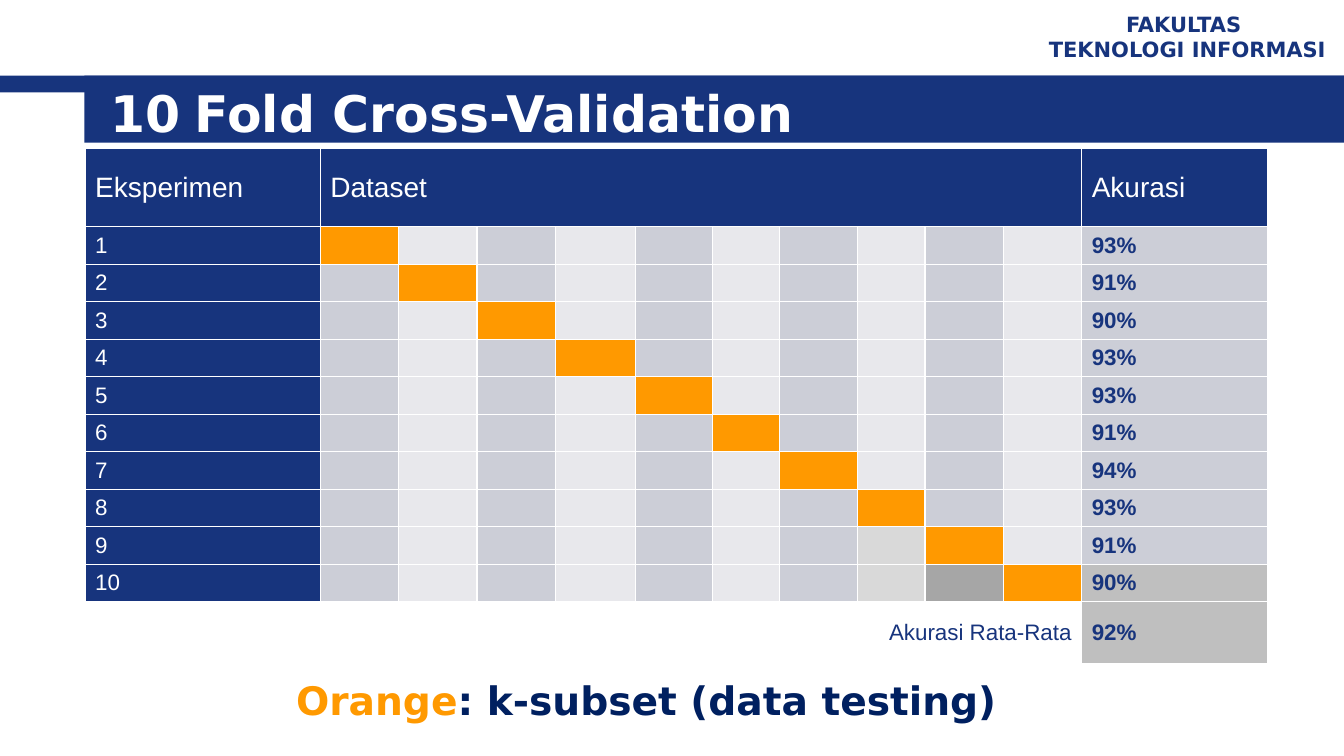
from dataclasses import dataclass

from lxml import etree
from pptx import Presentation
from pptx.dml.color import RGBColor
from pptx.enum import shapes, text
from pptx.oxml.ns import qn
from pptx.util import Pt


@dataclass(frozen=True)
class Theme:
    """Colours, fonts and type sizes of the slide."""
    navy: str = "17347D"
    ink: str = "002060"
    orange: str = "FF9900"
    white: str = "FFFFFF"
    band_dark: str = "CCCED7"
    band_light: str = "E8E8EC"
    grey_light: str = "D9D9D9"
    grey: str = "BFBFBF"
    grey_dark: str = "A6A6A6"
    display: str = "DejaVu Sans"
    body: str = "Arial"
    title_size: float = 36
    title_gap_size: float = 28.8
    caption_size: float = 28
    header_size: float = 20
    cell_size: float = 16
    faculty_size: float = 15


THEME = Theme()
COLUMNS = [168, 56, 56, 56, 57, 55, 48, 56, 48, 56, 56, 133]
ROWS = [56] + [26.8] * 10 + [44]
ACCURACIES = [93, 91, 90, 93, 93, 91, 94, 93, 91, 90]
MEAN_ACCURACY = 92
FOLDS = len(ACCURACIES)
GREY_CELLS = {(9, 8): THEME.grey_light, (10, 8): THEME.grey_light, (10, 9): THEME.grey_dark}


def style_font(font, size=None, colour=None, name=None, bold=None):
    """Apply the given font settings."""
    if size:
        font.size = Pt(size)
    if colour:
        font.color.rgb = RGBColor.from_string(colour)
    if name:
        font.name = name
    if bold is not None:
        font.bold = bold


def add_bar(page, left, top, width, height):
    """Draw a plain navy rectangle."""
    bar = page.shapes.add_shape(
        shapes.MSO_SHAPE.RECTANGLE, Pt(left), Pt(top), Pt(width), Pt(height))
    bar.shadow.inherit = False
    bar.fill.solid()
    bar.fill.fore_color.rgb = RGBColor.from_string(THEME.navy)
    bar.line.fill.background()


def add_text(page, frame, lines, size=None, colour=None,
             align=text.PP_ALIGN.LEFT, anchor=text.MSO_ANCHOR.MIDDLE):
    """Add bold display text, each line a list of (words, run font settings)."""
    box = page.shapes.add_textbox(*map(Pt, frame)).text_frame
    box.word_wrap = True
    box.vertical_anchor = anchor
    for index, line in enumerate(lines):
        para = box.add_paragraph() if index else box.paragraphs[0]
        para.alignment = align
        style_font(para.font, size, colour, THEME.display, True)
        for words, settings in line:
            span = para.add_run()
            span.text = words
            style_font(span.font, **settings)


def set_borders(cell):
    """Give a cell thin white borders, placed ahead of its fill."""
    properties = cell._tc.get_or_add_tcPr()
    for index, side in enumerate(("a:lnL", "a:lnR", "a:lnT", "a:lnB")):
        line = etree.Element(qn(side), w=str(Pt(1)))
        fill = etree.SubElement(line, qn("a:solidFill"))
        etree.SubElement(fill, qn("a:srgbClr"), val=THEME.white)
        properties.insert(index, line)


def fill_cell(cell, fill, words="", colour=THEME.white, size=THEME.cell_size,
              bold=False, align=text.PP_ALIGN.LEFT):
    """Set the fill, borders and text of one table cell."""
    cell.fill.solid()
    cell.fill.fore_color.rgb = RGBColor.from_string(fill)
    set_borders(cell)
    cell.vertical_anchor = text.MSO_ANCHOR.MIDDLE
    cell.margin_top = cell.margin_bottom = Pt(0)
    para = cell.text_frame.paragraphs[0]
    para.text = words
    para.alignment = align
    style_font(para.font, size, colour, THEME.body, bold)


def fold_fill(experiment, fold):
    """Choose the fill of a fold: orange when it is the test subset."""
    if experiment == fold:
        return THEME.orange
    band = THEME.band_dark if fold % 2 else THEME.band_light
    return GREY_CELLS.get((experiment, fold), band)


def add_fold_table(page):
    """Build the table of experiments, folds and accuracies."""
    table = page.shapes.add_table(
        len(ROWS), len(COLUMNS), Pt(60.8), Pt(106), Pt(sum(COLUMNS)), Pt(sum(ROWS))).table
    table.first_row = table.horz_banding = False
    for column, width in zip(table.columns, COLUMNS):
        column.width = Pt(width)
    for row, height in zip(table.rows, ROWS):
        row.height = Pt(height)
    last_row, last_column = len(ROWS) - 1, len(COLUMNS) - 1
    table.cell(0, 1).merge(table.cell(0, FOLDS))
    table.cell(last_row, 0).merge(table.cell(last_row, FOLDS))

    for column, words in ((0, "Eksperimen"), (1, "Dataset"), (last_column, "Akurasi")):
        fill_cell(table.cell(0, column), THEME.navy, words, size=THEME.header_size)
    for experiment, accuracy in enumerate(ACCURACIES, 1):
        fill_cell(table.cell(experiment, 0), THEME.navy, str(experiment))
        for fold in range(1, FOLDS + 1):
            fill_cell(table.cell(experiment, fold), fold_fill(experiment, fold))
        fill = THEME.grey if experiment == FOLDS else THEME.band_dark
        fill_cell(table.cell(experiment, last_column), fill, f"{accuracy}%", THEME.navy, bold=True)
    fill_cell(table.cell(last_row, 0), THEME.white, "Akurasi Rata-Rata", THEME.navy,
              align=text.PP_ALIGN.RIGHT)
    fill_cell(table.cell(last_row, last_column), THEME.grey, f"{MEAN_ACCURACY}%",
              THEME.navy, bold=True)


def main():
    """Build and save the slide."""
    deck = Presentation()
    deck.slide_width, deck.slide_height = Pt(960), Pt(540)
    page = deck.slides.add_slide(deck.slide_layouts[6])
    add_bar(page, 0, 54, 960, 12)
    add_bar(page, 60.3, 54, 899.7, 48)
    add_text(page, (736.5, 3.6, 223.2, 44.6),
             [[("FAKULTAS ", {})], [("TEKNOLOGI INFORMASI", {})]],
             THEME.faculty_size, THEME.navy, text.PP_ALIGN.CENTER)
    add_text(page, (160, 479.5, 603, 41.8),
             [[("Orange", {"colour": THEME.orange}),
               (": k-subset (data testing)", {"colour": THEME.ink})]],
             size=THEME.caption_size, align=text.PP_ALIGN.CENTER, anchor=text.MSO_ANCHOR.TOP)
    add_text(page, (72, 57.6, 856, 44.6),
             [[("10", {"size": THEME.title_size}), (" ", {"size": THEME.title_gap_size}),
               ("Fold Cross-Validation", {"size": THEME.title_size})]],
             colour=THEME.white)
    add_fold_table(page)
    deck.save("out.pptx")


if __name__ == "__main__":
    main()
